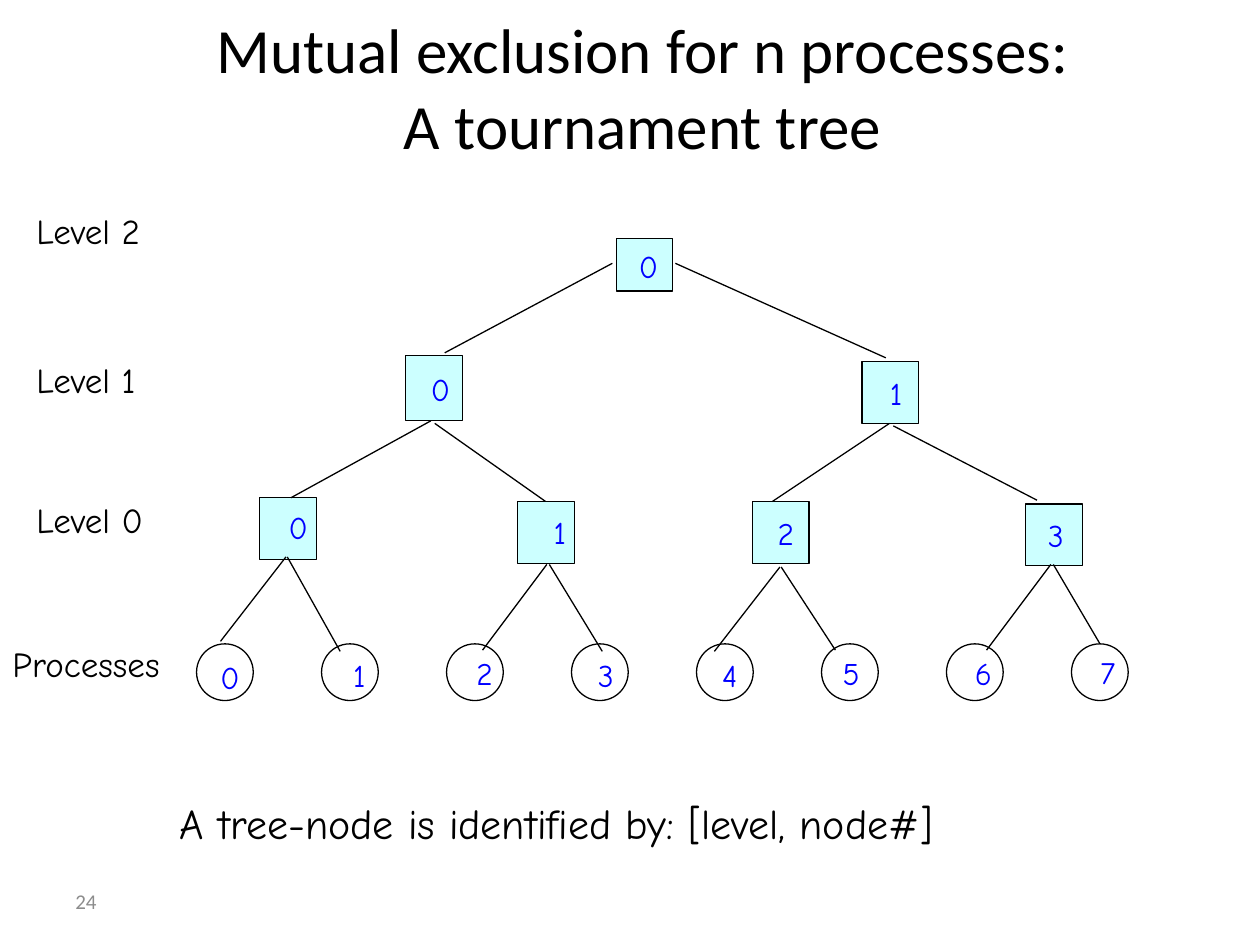
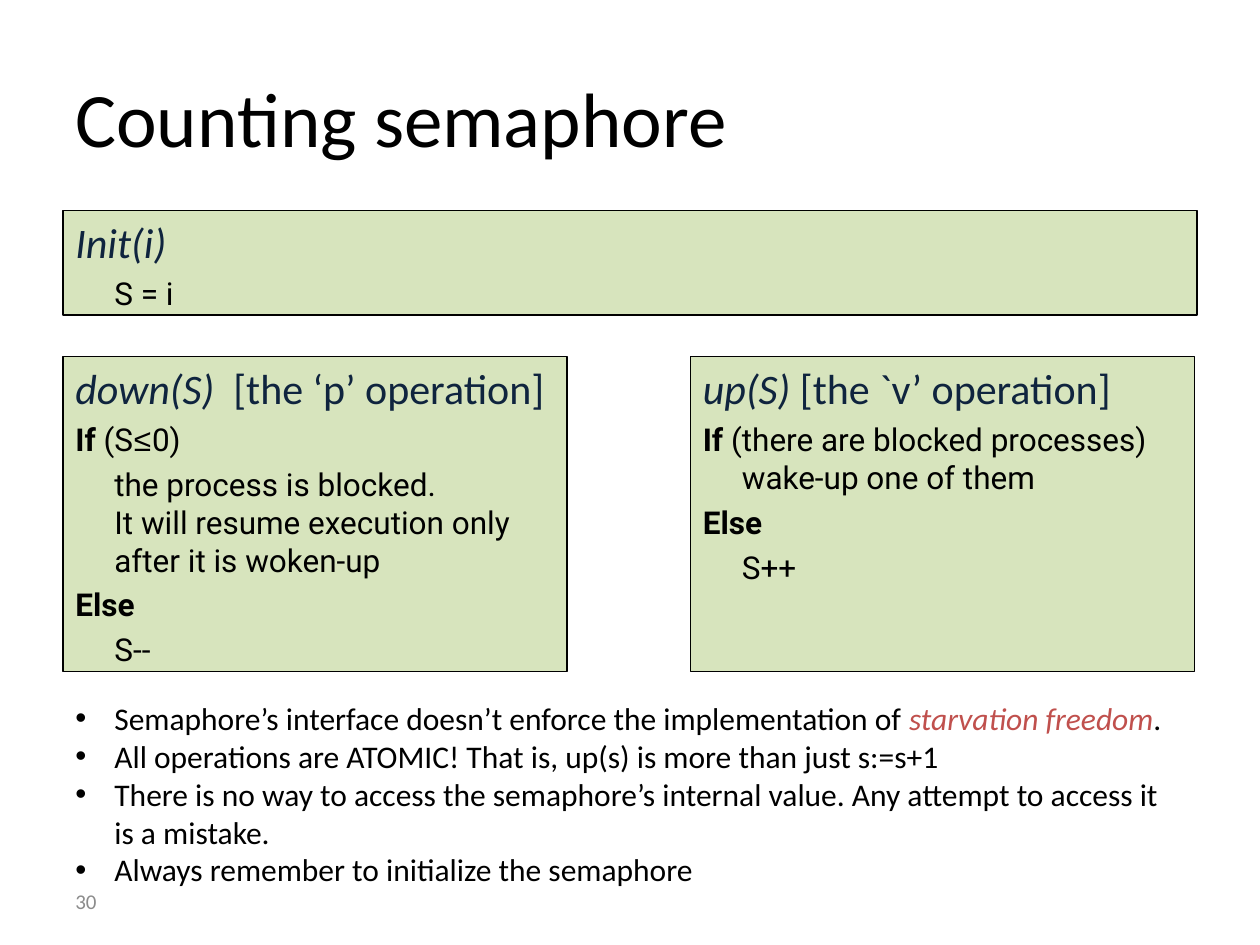
from lxml.etree import SubElement
from pptx import Presentation
from pptx.dml.color import RGBColor
from pptx.enum.shapes import MSO_CONNECTOR, MSO_SHAPE
from pptx.enum.text import MSO_ANCHOR, PP_ALIGN
from pptx.oxml.ns import qn
from pptx.util import Inches, Pt

prs = Presentation()
prs.slide_width, prs.slide_height = Inches(10), Inches(7.5)
COL, ROW = prs.slide_width / 100, prs.slide_height / 75  # grid of 100 columns by 75 rows

rgb = RGBColor.from_string
BLACK, BLUE, NAVY, RED, GREY = "000000", "0000FF", "0F243E", "C0504D", "8C8C8C"
AQUA, GREEN = "CCFFFF", "D7E4BD"

TITLE = {"name": "Calibri", "size": Pt(44), "color": BLACK}
NUMBER = {"name": "Calibri", "size": Pt(12), "color": GREY}
BODY = {"name": "Calibri", "size": Pt(18), "color": BLACK}
STRESS = {**BODY, "color": RED, "italic": True}
LABEL = {"name": "Comic Neue", "size": Pt(20), "color": BLACK}
CAPTION = {**LABEL, "size": Pt(24)}
DIGIT = {**LABEL, "size": Pt(18), "color": BLUE}
HEAD = {"name": "Calibri", "size": Pt(24), "color": NAVY}
CALL = {**HEAD, "italic": True}
CODE = {"name": "Roboto", "size": Pt(18), "color": BLACK}
KEYWORD = {**CODE, "bold": True}
SIGN = {**CODE, "name": "Courier New"}


def place(shapes, box, kind=None, fill=None):
    """Add a preset shape, or a text box if no kind is given; box is in grid units."""
    x, y, w, h = box
    area = [round(v) for v in (x * COL, y * ROW, w * COL, h * ROW)]
    if kind is None:
        return shapes.add_textbox(*area)
    sp = shapes.add_shape(kind, *area)
    sp.shadow.inherit = False
    if fill:
        sp.fill.solid()
        sp.fill.fore_color.rgb = rgb(fill)
    else:
        sp.fill.background()
    sp.line.color.rgb = rgb(BLACK)
    sp.line.width = Pt(0.75)
    return sp


def write(sp, paras, align=PP_ALIGN.LEFT, anchor=MSO_ANCHOR.TOP, before=0, hang=0, bullet=None):
    """Each paragraph is a list of (text, font format) runs; a line feed breaks the line."""
    tf = sp.text_frame
    tf.word_wrap, tf.vertical_anchor = True, anchor
    for i, runs in enumerate(paras):
        p = tf.add_paragraph() if i else tf.paragraphs[0]
        p.alignment, p.space_before = align, Pt(before)
        if hang:
            pPr = p._p.get_or_add_pPr()
            pPr.set("marL", str(Inches(hang)))
            pPr.set("indent", str(-Inches(hang)))
            if bullet:
                SubElement(pPr, qn("a:buFont"), typeface="Arial")
                SubElement(pPr, qn("a:buChar"), char=bullet)
        for text, fmt in runs:
            for n, line in enumerate(text.split("\n")):
                if n:
                    p.add_line_break()
                r = p.add_run()
                r.text = line
                for key, value in fmt.items():
                    if key == "color":
                        r.font.color.rgb = rgb(value)
                    else:
                        setattr(r.font, key, value)


# Titles and slide numbers
slides = []
for title, box, fmt, align, number in [
    ("Mutual exclusion for n processes:\nA tournament tree", (2, 0.6, 98, 12.5),
     {**TITLE, "size": Pt(36)}, PP_ALIGN.CENTER, "24"),
    ("Counting semaphore", (5, 3, 90, 12.5), TITLE, PP_ALIGN.LEFT, "30"),
]:
    s = prs.slides.add_slide(prs.slide_layouts[6])
    write(place(s.shapes, box), [[(title, fmt)]], align, MSO_ANCHOR.MIDDLE)
    write(place(s.shapes, (5, 69.5, 23.3, 4)), [[(number, NUMBER)]], anchor=MSO_ANCHOR.MIDDLE)
    slides.append(s)
tree_slide, semaphore_slide = slides

# Tournament tree: node (left, top, height), then the left and top of its digit
SIDE = 4.5
levels = [
    [(48.9, 18.9, 4.2, 47.3, 19.1)],
    [(32.2, 28.2, 5.2, 30.8, 28.9), (68.4, 28.7, 4.9, 66.7, 29.2)],
    [(20.6, 39.5, 4.9, 19.5, 39.8), (41.1, 39.8, 4.9, 40, 40.2),
     (59.7, 39.8, 4.9, 58.1, 40.3), (81.4, 40, 4.9, 79.5, 40.5)],
]
process_digits = [(14.1, 51.7), (24.1, 51.6), (34.2, 51.4), (43.8, 51.6),
                  (53.6, 51.6), (63.3, 51.4), (73.8, 51.4), (83.6, 51.3)]
processes = [(15.6 + 9.92 * i, 51.1, SIDE, *digit) for i, digit in enumerate(process_digits)]
branches = [
    (48.6, 20.9, 35.3, 28), (53.6, 20.9, 70.3, 28.4),
    (34.2, 33.4, 23.1, 39.5), (34.5, 33.6, 43.3, 39.8),
    (70.6, 33.6, 61.3, 39.8), (70.9, 33.8, 82.3, 39.7),
    (22.7, 44.2, 17.5, 50.9), (22.8, 44.2, 27, 51.7),
    (43.4, 44.8, 38.3, 51.6), (43.6, 44.8, 47.8, 51.7),
    (61.9, 45, 56.7, 51.7), (62, 45, 66.3, 51.6),
    (83.4, 44.8, 78.3, 51.6), (83.6, 44.8, 87.3, 51.1),
]
tree = tree_slide.shapes.add_group_shape().shapes
for nodes in levels + [processes]:
    kind, fill = (MSO_SHAPE.OVAL, None) if nodes is processes else (MSO_SHAPE.RECTANGLE, AQUA)
    for i, (x, y, h, digit_x, digit_y) in enumerate(nodes):
        place(tree, (x, y, SIDE, h), kind, fill)
        write(place(tree, (digit_x, digit_y, 5.9, 4)), [[(str(i), DIGIT)]], PP_ALIGN.RIGHT)
for x1, y1, x2, y2 in branches:
    ends = [round(v) for v in (x1 * COL, y1 * ROW, x2 * COL, y2 * ROW)]
    branch = tree.add_connector(MSO_CONNECTOR.STRAIGHT, *ends)
    branch.line.color.rgb = rgb(BLACK)
    branch.line.width = Pt(0.75)
    SubElement(branch._element.spPr, qn("a:effectLst"))

for text, x, y in [("Level 2", 1.9, 16.1), ("Level 1", 1.9, 28),
                   ("Level 0", 1.9, 39.1), ("Processes", 0, 50.5)]:
    write(place(tree_slide.shapes, (x, y, 16.9, 4.3)), [[(text, LABEL)]])
write(place(tree_slide.shapes, (13.3, 62.8, 71.1, 5)),
      [[("A tree-node is identified by: [level, node#]", CAPTION)]])

# Semaphore operations
operations = [
    ((5, 16.7, 90, 8.3), [
        [("Init(i)", CALL)],
        [("\tS = i", CODE)],
    ]),
    ((5, 28.3, 40, 25), [
        [("down(S)", CALL), ("  [the ‘p’ operation]", HEAD)],
        [("If", KEYWORD), (" (S", CODE), ("≤", SIGN), ("0)", CODE)],
        [("\tthe process is blocked. \nIt will resume execution only after it is woken-up", CODE)],
        [("Else", KEYWORD)],
        [("\tS--", CODE)],
    ]),
    ((54.8, 28.3, 40, 25), [
        [("up(S) ", CALL), ("[the `v’ operation]", HEAD)],
        [("If ", KEYWORD), ("(there are blocked processes) wake-up one of them", CODE)],
        [("Else", KEYWORD)],
        [("\tS++", CODE)],
    ]),
]
for box, paras in operations:
    sp = place(semaphore_slide.shapes, box, MSO_SHAPE.RECTANGLE, GREEN)
    write(sp, paras, before=4, hang=0.31)

remarks = [
    [("Semaphore’s interface doesn’t enforce the implementation of ", BODY),
     ("starvation freedom", STRESS), (".", BODY)],
    [("All operations are ATOMIC! That is, up(s) is more than just s:=s+1", BODY)],
    [("There is no way to access the semaphore’s internal value. "
      "Any attempt to access it is a mistake.", BODY)],
    [("Always remember to initialize the semaphore", BODY)],
]
write(place(semaphore_slide.shapes, (5, 55, 90, 20)), remarks, hang=0.31, bullet="•")

prs.save("out.pptx")
